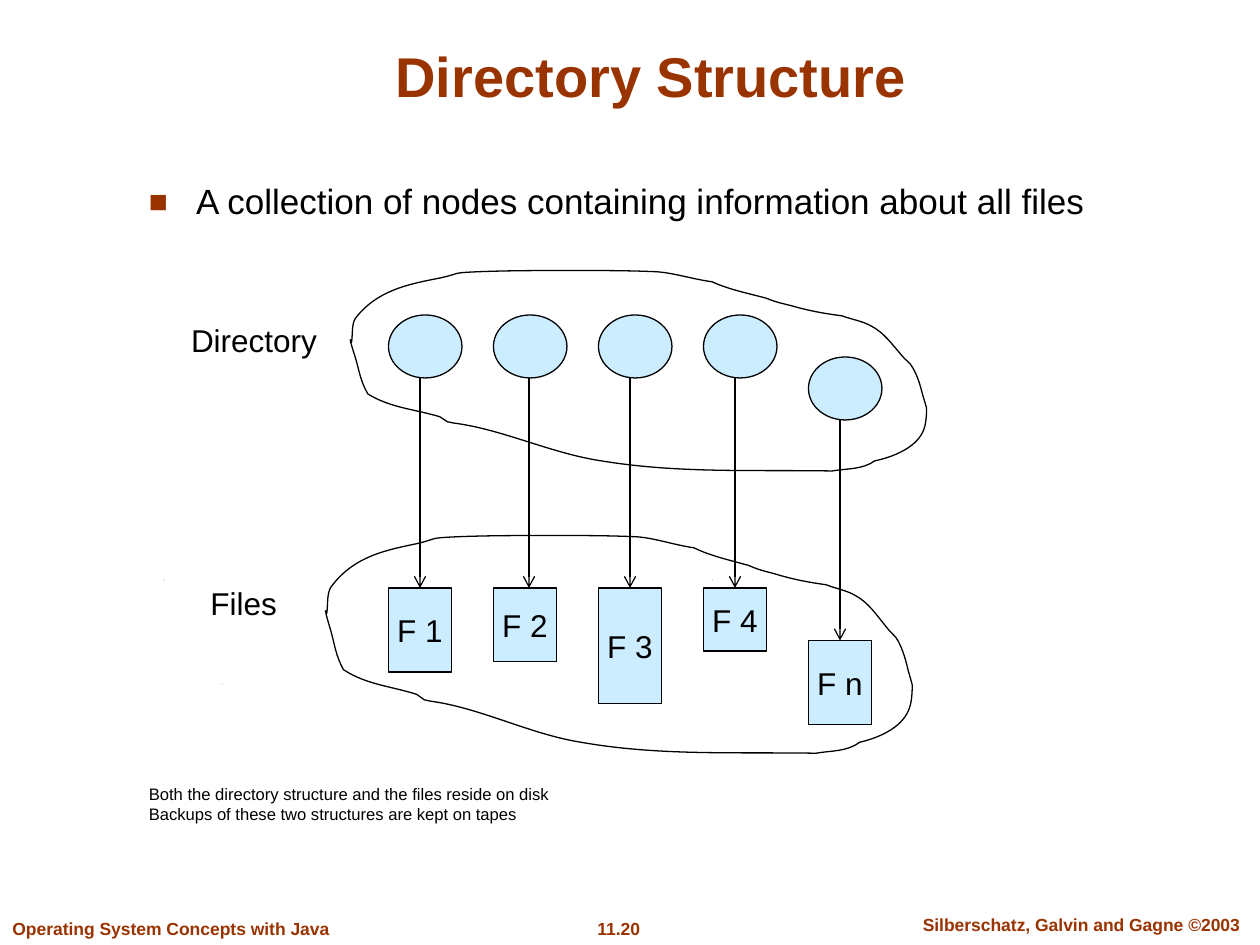
from lxml.etree import SubElement
from pptx import Presentation
from pptx.dml.color import RGBColor
from pptx.enum.shapes import MSO_CONNECTOR, MSO_SHAPE
from pptx.enum.text import MSO_ANCHOR, PP_ALIGN
from pptx.oxml.ns import qn
from pptx.util import Pt

COLORS = {"rust": "993300", "ink": "000000", "sky": "CCECFF"}
FONT = "Arial"
LINE_WIDTH = 0.75
COLUMN_PITCH = 60
NODE_SIZE = (42, 36)
FILE_WIDTH = 36

# label, node top, file top, file height, arrow offset from column left
COLUMNS = [
    ("F 1", 180, 336, 48, 18),
    ("F 2", 180, 336, 42, 20.3),
    ("F 3", 180, 336, 66, 18),
    ("F 4", 180, 336, 36, 18),
    ("F n", 204, 366, 48, 18),
]
SPECKS = [(126.7, 390.6), (93.6, 331.2), (406.8, 331.2)]

CLOUD_SIZE = (458, 161)
CLOUD_START = (1, 57)
CLOUD_CURVES = [
    ((2, 50), (1, 43), (4, 38)),
    ((21, 16), (45, 11), (71, 6)),
    ((89, 2), (79, 2), (101, 1)),
    ((126, 0), (151, 0), (177, 0)),
    ((199, 0), (221, 0), (243, 1)),
    ((257, 2), (272, 7), (287, 9)),
    ((300, 15), (315, 18), (330, 22)),
    ((337, 25), (342, 26), (350, 28)),
    ((364, 32), (375, 34), (390, 36)),
    ((398, 39), (406, 40), (413, 44)),
    ((423, 49), (430, 59), (437, 67)),
    ((440, 71), (444, 73), (446, 77)),
    ((450, 84), (452, 91), (454, 99)),
    ((455, 102), (457, 109), (457, 109)),
    ((457, 113), (457, 122), (454, 128)),
    ((448, 141), (430, 148), (416, 151)),
    ((406, 158), (394, 157), (382, 159)),
    ((318, 158), (260, 161), (199, 151)),
    ((159, 145), (121, 126), (82, 121)),
    ((80, 121), (79, 120), (77, 120)),
    ((75, 119), (73, 117), (71, 116)),
    ((51, 110), (32, 109), (14, 98)),
    ((8, 88), (7, 79), (4, 69)),
    ((4, 69), (0, 57), (0, 55)),
    ((0, 54), (1, 56), (1, 57)),
]


def color(name):
    return RGBColor.from_string(COLORS[name])


def style_text(paragraph, size, ink="ink", bold=False, align=PP_ALIGN.LEFT):
    paragraph.alignment = align
    font = paragraph.font
    font.name, font.size, font.bold = FONT, Pt(size), bold
    font.color.rgb = color(ink)


def add_text(slide, box, lines, size, wrap=True, anchor=MSO_ANCHOR.TOP, **style):
    frame = slide.shapes.add_textbox(*map(Pt, box)).text_frame
    frame.word_wrap = wrap
    frame.vertical_anchor = anchor
    frame.text = "\n".join(lines)
    for paragraph in frame.paragraphs:
        style_text(paragraph, size, **style)


def fill_shape(shape, fill):
    shape.shadow.inherit = False
    shape.fill.solid()
    shape.fill.fore_color.rgb = color(fill)


def outline_shape(shape):
    shape.shadow.inherit = False
    shape.line.color.rgb = color("ink")
    shape.line.width = Pt(LINE_WIDTH)


def add_title(slide, box, text):
    title = slide.shapes.title
    title.left, title.top, title.width, title.height = map(Pt, box)
    title.text_frame.text = text
    title.text_frame.vertical_anchor = MSO_ANCHOR.BOTTOM
    style_text(title.text_frame.paragraphs[0], 32, "rust", True, PP_ALIGN.CENTER)


def add_bullet(slide, box, text):
    frame = slide.shapes.add_textbox(*map(Pt, box)).text_frame
    frame.word_wrap = True
    frame.text = text
    paragraph = frame.paragraphs[0]
    paragraph.line_spacing = 0.9
    properties = paragraph._p.get_or_add_pPr()
    properties.set("marL", str(Pt(27)))
    properties.set("indent", str(-Pt(27)))
    bullet_color = SubElement(properties, qn("a:buClr"))
    SubElement(bullet_color, qn("a:srgbClr"), val=COLORS["rust"])
    SubElement(properties, qn("a:buSzPct"), val="90000")
    SubElement(properties, qn("a:buFont"), typeface=FONT)
    SubElement(properties, qn("a:buChar"), char="■")
    style_text(paragraph, 20)


def add_specks(slide, size):
    for left, top in SPECKS:
        builder = slide.shapes.build_freeform(Pt(left), Pt(top + size))
        builder.add_line_segments(
            [(Pt(left + size), Pt(top)), (Pt(left + size / 2), Pt(top + size))])
        speck = builder.convert_to_shape()
        fill_shape(speck, "ink")
        speck.line.fill.background()


def add_cloud(slide, box):
    left, top, width, height = box

    def scale(point):
        return (Pt(point[0] * width / CLOUD_SIZE[0]),
                Pt(point[1] * height / CLOUD_SIZE[1]))

    builder = slide.shapes.build_freeform(*scale(CLOUD_START))
    builder.add_line_segments([scale(curve[-1]) for curve in CLOUD_CURVES])
    cloud = builder.convert_to_shape(Pt(left), Pt(top))
    cloud.width, cloud.height = Pt(width), Pt(height)
    outline = next(cloud._element.iter(qn("a:path")))
    outline.set("w", str(Pt(width)))
    outline.set("h", str(Pt(height)))
    for segment, curve in zip(outline.findall(qn("a:lnTo")), CLOUD_CURVES):
        bezier = SubElement(outline, qn("a:cubicBezTo"))
        for point in curve:
            x, y = scale(point)
            SubElement(bezier, qn("a:pt"), x=str(x), y=str(y))
        outline.replace(segment, bezier)
    cloud.fill.background()
    outline_shape(cloud)


def add_arrow(slide, x, top, bottom):
    arrow = slide.shapes.add_connector(
        MSO_CONNECTOR.STRAIGHT, Pt(x), Pt(top), Pt(x), Pt(bottom))
    arrow.line.color.rgb = color("ink")
    arrow.line.width = Pt(LINE_WIDTH)
    SubElement(arrow.line._get_or_add_ln(), qn("a:tailEnd"), type="arrow")
    SubElement(arrow._element.spPr, qn("a:effectLst"))
    return arrow


def add_column(slide, left, label, node_top, file_top, file_height, arrow_offset):
    node_width, node_height = NODE_SIZE
    node = slide.shapes.add_shape(
        MSO_SHAPE.OVAL, Pt(left), Pt(node_top), Pt(node_width), Pt(node_height))
    file_box = slide.shapes.add_shape(
        MSO_SHAPE.RECTANGLE, Pt(left), Pt(file_top), Pt(FILE_WIDTH), Pt(file_height))
    for shape in (node, file_box):
        fill_shape(shape, "sky")
        outline_shape(shape)
    file_box.text_frame.text = label
    file_box.text_frame.word_wrap = False
    file_box.text_frame.vertical_anchor = MSO_ANCHOR.MIDDLE
    style_text(file_box.text_frame.paragraphs[0], 18, align=PP_ALIGN.CENTER)

    arrow = add_arrow(slide, left + arrow_offset, node_top + node_height, file_top)
    if arrow_offset == FILE_WIDTH / 2:
        arrow.end_connect(file_box, 0)


def add_diagram(slide, left):
    for index, column in enumerate(COLUMNS):
        add_column(slide, left + index * COLUMN_PITCH, *column)
    add_cloud(slide, (200.2, 154.6, 330, 116))
    add_cloud(slide, (186, 306, 336, 126))
    for label, box in (("Directory", (102, 180, 86.4, 29)),
                       ("Files", (113, 330, 52.6, 29))):
        add_text(slide, box, [label], 18, wrap=False,
                 anchor=MSO_ANCHOR.MIDDLE, align=PP_ALIGN.CENTER)


def add_footer(slide, top):
    style = {"size": 10, "ink": "rust", "bold": True}
    add_text(slide, (0, top, 198, 19.4), ["Operating System Concepts with Java"],
             wrap=False, **style)
    add_text(slide, (315.4, top, 76.3, 19.4), ["11.20"],
             wrap=False, align=PP_ALIGN.CENTER, **style)
    add_text(slide, (511, top - 2.2, 213.8, 19.4),
             ["Silberschatz, Galvin and Gagne ©2003"], align=PP_ALIGN.CENTER, **style)


def main():
    presentation = Presentation()
    presentation.slide_width, presentation.slide_height = Pt(720), Pt(540)
    slide = presentation.slides.add_slide(presentation.slide_layouts[5])
    add_specks(slide, 0.5)
    add_title(slide, (54, 18, 636, 48), "Directory Structure")
    add_bullet(slide, (78, 102, 554, 30),
               "A collection of nodes containing information about all files")
    add_diagram(slide, 222)
    add_text(slide, (78, 444.3, 554, 30),
             ["Both the directory structure and the files reside on disk",
              "Backups of these two structures are kept on tapes"], 9.5)
    add_footer(slide, 521)
    presentation.save("out.pptx")


if __name__ == "__main__":
    main()
